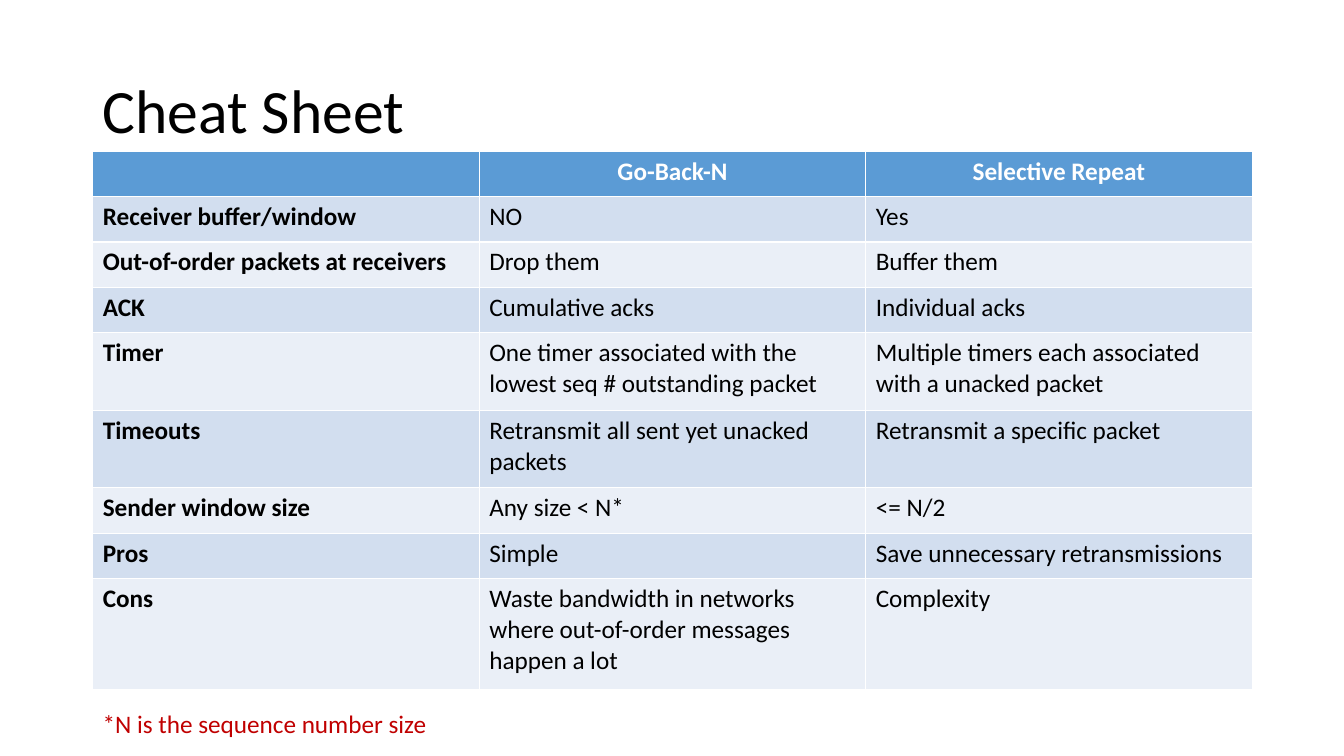
from pptx import Presentation
from pptx.dml.color import RGBColor
from pptx.enum import text
from pptx.util import Inches, Pt

BLACK = RGBColor(0x00, 0x00, 0x00)
WHITE = RGBColor(0xFF, 0xFF, 0xFF)
RED = RGBColor(0xC0, 0x00, 0x00)
BLUE = RGBColor(0x5B, 0x9B, 0xD5)
BANDS = [RGBColor(0xEA, 0xEF, 0xF7), RGBColor(0xD2, 0xDE, 0xEF)]
LEFT, WIDTH = Inches(0.92), Inches(11.5)


def style(para, size, color, bold=False):
    for run in para.runs:
        font = run.font
        font.name, font.size, font.bold = "Calibri", Pt(size), bold
        font.color.rgb = color


deck = Presentation()
deck.slide_width, deck.slide_height = Inches(13.33), Inches(7.5)
slide = deck.slides.add_slide(deck.slide_layouts[6])

# Title
title = slide.shapes.add_textbox(LEFT, Inches(0.4), WIDTH, Inches(1.45)).text_frame
title.word_wrap = True
title.vertical_anchor = text.MSO_ANCHOR.MIDDLE
title.text = "Cheat Sheet"
title.paragraphs[0].line_spacing = 0.9
style(title.paragraphs[0], 44, BLACK)

# Protocol comparison: row height, then the three cells
rows = [
    (0.45, "", "Go-Back-N", "Selective Repeat"),
    (0.45, "Receiver buffer/window", "NO", "Yes"),
    (0.45, "Out-of-order packets at receivers", "Drop them", "Buffer them"),
    (0.45, "ACK", "Cumulative acks", "Individual acks"),
    (0.77, "Timer", "One timer associated with the lowest seq # outstanding packet",
     "Multiple timers each associated with a unacked packet"),
    (0.77, "Timeouts", "Retransmit all sent yet unacked packets",
     "Retransmit a specific packet"),
    (0.45, "Sender window size", "Any size < N*", "<= N/2"),
    (0.45, "Pros", "Simple", "Save unnecessary retransmissions"),
    (1.1, "Cons", "Waste bandwidth in networks where out-of-order messages happen a lot",
     "Complexity"),
]
table = slide.shapes.add_table(len(rows), 3, LEFT, Inches(1.5), WIDTH, Inches(5.33)).table
table.first_col = False
for r, (height, *words) in enumerate(rows):
    table.rows[r].height = Inches(height)
    head = r == 0
    for c, word in enumerate(words):
        cell = table.cell(r, c)
        cell.fill.solid()
        cell.fill.fore_color.rgb = BLUE if head else BANDS[r % 2]
        cell.text_frame.text = word
        para = cell.text_frame.paragraphs[0]
        if head:
            para.alignment = text.PP_ALIGN.CENTER
        style(para, 18, WHITE if head else BLACK, head or c == 0)

# Footnote
note = slide.shapes.add_textbox(LEFT, Inches(6.98), Inches(3.46), Inches(0.4)).text_frame
note.word_wrap = False
note.auto_size = text.MSO_AUTO_SIZE.SHAPE_TO_FIT_TEXT
note.text = "*N is the sequence number size"
style(note.paragraphs[0], 18, RED)

deck.save("out.pptx")
